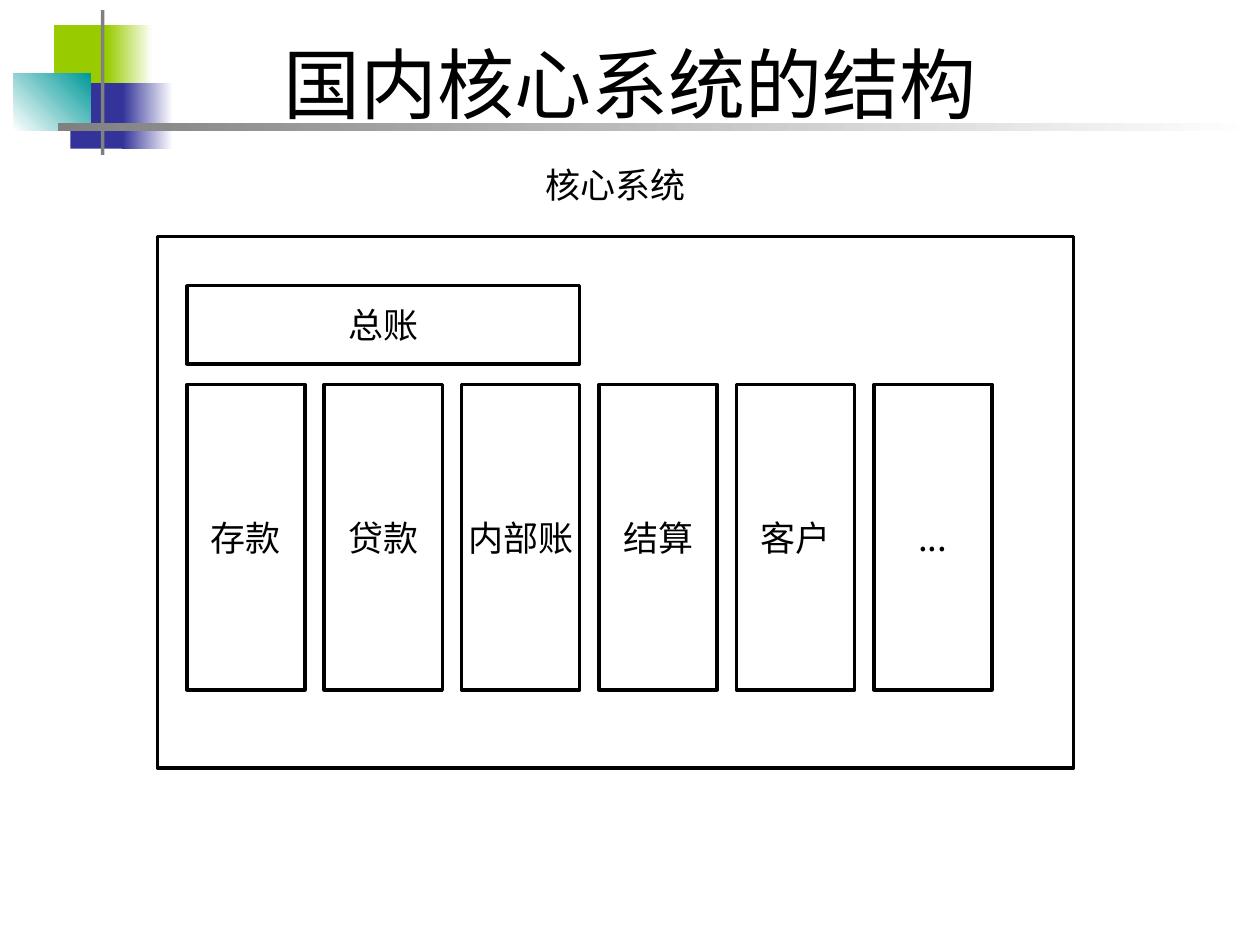
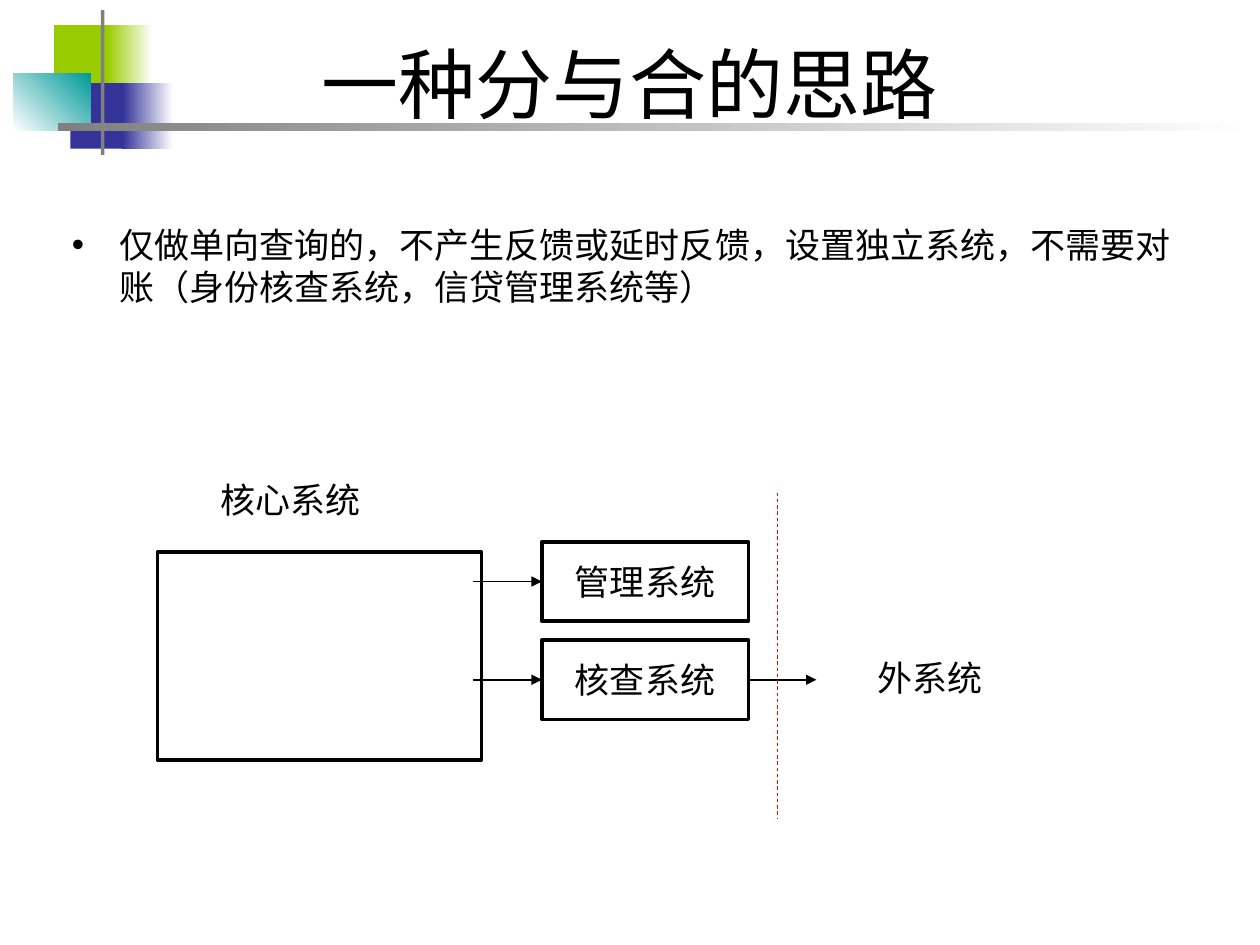
from lxml import etree
from pptx import Presentation
from pptx import util as u
from pptx.dml.color import RGBColor
from pptx.enum import dml, shapes, text
from pptx.oxml.ns import qn

W, H = 10, 7.5
LATIN, CJK = "Arial", "Noto Sans CJK SC"
BLACK, WHITE, GRAY, RED = "000000", "FFFFFF", "808080", "FF0000"
GREEN, BLUE, TEAL = "99CC00", "333399", "009999"
TITLE_BOX = (0.5, 0.3, 9, 0.72)
LABEL_H = 0.44

# Shared emblem and rule: box, first colour, last colour, angle
BAND = [
    ((0.43, 0.2, 0.48, 0.52), GREEN, None, 0),
    ((0.85, 0.2, 0.36, 0.52), GREEN, WHITE, 0),
    ((0.56, 0.66, 0.46, 0.52), BLUE, None, 0),
    ((0.97, 0.66, 0.4, 0.52), BLUE, WHITE, 0),
    ((0.11, 0.58, 0.61, 0.46), WHITE, TEAL, 45),
    ((0.8, 0.08, 0.03, 1.15), GRAY, None, 0),
    ((0.46, 0.98, 9.51, 0.06), GRAY, WHITE, 0),
]


def rgb(color):
    return RGBColor.from_string(color)


def inches(box):
    return [u.Inches(v) for v in box]


def place(sp, box):
    sp.left, sp.top, sp.width, sp.height = inches(box)


def write(tf, words, size=20, font=CJK, align=text.PP_ALIGN.CENTER):
    tf.text = words
    p = tf.paragraphs[0]
    p.alignment = align
    for r in p.runs:
        r.font.size = u.Pt(size)
        r.font.name = font
        r.font.color.rgb = rgb(BLACK)
        ea = etree.SubElement(r.font._element, qn("a:ea"))
        ea.set("typeface", CJK)
    return p


def rect(s, box):
    sp = s.shapes.add_shape(shapes.MSO_SHAPE.RECTANGLE, *inches(box))
    sp.shadow.inherit = False
    return sp


def frame(s, box, words=""):
    sp = rect(s, box)
    sp.fill.solid()
    sp.fill.fore_color.rgb = rgb(WHITE)
    sp.line.color.rgb = rgb(BLACK)
    sp.line.width = u.Pt(2)
    if words:
        tf = sp.text_frame
        tf.word_wrap = False
        tf.vertical_anchor = text.MSO_ANCHOR.MIDDLE
        write(tf, words)


def label(s, x, y, w, words):
    tf = s.shapes.add_textbox(*inches((x, y, w, LABEL_H))).text_frame
    tf.word_wrap = True
    write(tf, words)


def line(s, x1, y1, x2, y2, color=BLACK, width=1, arrow=True):
    cn = s.shapes.add_connector(shapes.MSO_CONNECTOR.STRAIGHT,
                                *inches((x1, y1, x2, y2)))
    cn.line.color.rgb = rgb(color)
    cn.line.width = u.Pt(width)
    if arrow:
        tail = etree.SubElement(cn.line._get_or_add_ln(), qn("a:tailEnd"))
        tail.set("type", "triangle")
    else:
        cn.line.dash_style = dml.MSO_LINE.DASH
    etree.SubElement(cn._element.spPr, qn("a:effectLst"))


def add_band(prs, s):
    """Draw the emblem and rule, then move them to the slide master."""
    for box, first, last, angle in BAND:
        sp = rect(s, box)
        sp.line.fill.background()
        if last:
            sp.fill.gradient()
            sp.fill.gradient_angle = angle
            for stop, color in zip(sp.fill.gradient_stops, (first, last)):
                stop.color.rgb = rgb(color)
        else:
            sp.fill.solid()
            sp.fill.fore_color.rgb = rgb(first)
        prs.slide_master.shapes.element.append(sp.element)


def add_slide(prs, layout, title):
    s = prs.slides.add_slide(prs.slide_layouts[layout])
    place(s.shapes.title, TITLE_BOX)
    tf = s.shapes.title.text_frame
    tf.auto_size = text.MSO_AUTO_SIZE.NONE
    tf.vertical_anchor = text.MSO_ANCHOR.MIDDLE
    write(tf, title, 44, LATIN)
    return s


def core_modules(s, box):
    """Core system frame: a ledger across three of six module columns."""
    x, y, w, h = box
    frame(s, box)
    col, row = w * 0.15, h * 0.093
    tile = col * 0.86
    left = x + w * 0.032
    frame(s, (left, y + row, 2 * col + tile, row * 1.58), "总账")
    label(s, x + w / 4, y - 0.63, w / 2, "核心系统")
    for i, name in enumerate(["存款", "贷款", "内部账", "结算", "客户", "..."]):
        frame(s, (left + i * col, y + 3 * row, tile, h * 0.574), name)


def bullet_list(s, box, words):
    body = s.placeholders[1]
    place(body, box)
    body.text_frame.auto_size = text.MSO_AUTO_SIZE.NONE
    p = write(body.text_frame, words, 20, LATIN, text.PP_ALIGN.LEFT)
    p.space_before = u.Pt(5)


def system_flow(s, box):
    """Core system on the left, satellites in the middle, outside at right."""
    x, y, w, h = box
    core_w, sat_x, sat_w, sat_h = w * 0.37, x + 3.05, 1.64, 0.63
    core_y = y + 0.47
    frame(s, (x, core_y, core_w, h * 0.64))
    label(s, x + 0.39, core_y - 0.63, 1.33, "核心系统")

    # Satellite systems, each fed by the core
    for i, name in enumerate(["管理系统", "核查系统"]):
        top = core_y - 0.08 + i * 0.78
        mid = top + sat_h / 2
        frame(s, (sat_x, top, sat_w, sat_h), name)
        line(s, sat_x - 0.55, mid, sat_x, mid)

    # Boundary crossed by the last satellite
    sat_right = sat_x + sat_w
    line(s, sat_right, mid, sat_right + 0.54, mid)
    line(s, sat_right + 0.23, y, sat_right + 0.23, y + h, RED, 0.5, False)
    label(s, sat_right + 0.62, mid - 0.23, sat_w, "外系统")


def main():
    prs = Presentation()
    prs.slide_width, prs.slide_height = u.Inches(W), u.Inches(H)

    s = add_slide(prs, 5, "国内核心系统的结构")
    add_band(prs, s)
    core_modules(s, (W / 8, H / 4, 7.27, 4.22))

    s = add_slide(prs, 1, "一种分与合的思路")
    bullet_list(s, (0.47, 1.72, 9, 4.95),
                "仅做单向查询的，不产生反馈或延时反馈，设置独立系统，"
                "不需要对账（身份核查系统，信贷管理系统等）")
    system_flow(s, (W / 8, 3.91, 6.95, 2.58))

    prs.save("out.pptx")


if __name__ == "__main__":
    main()
